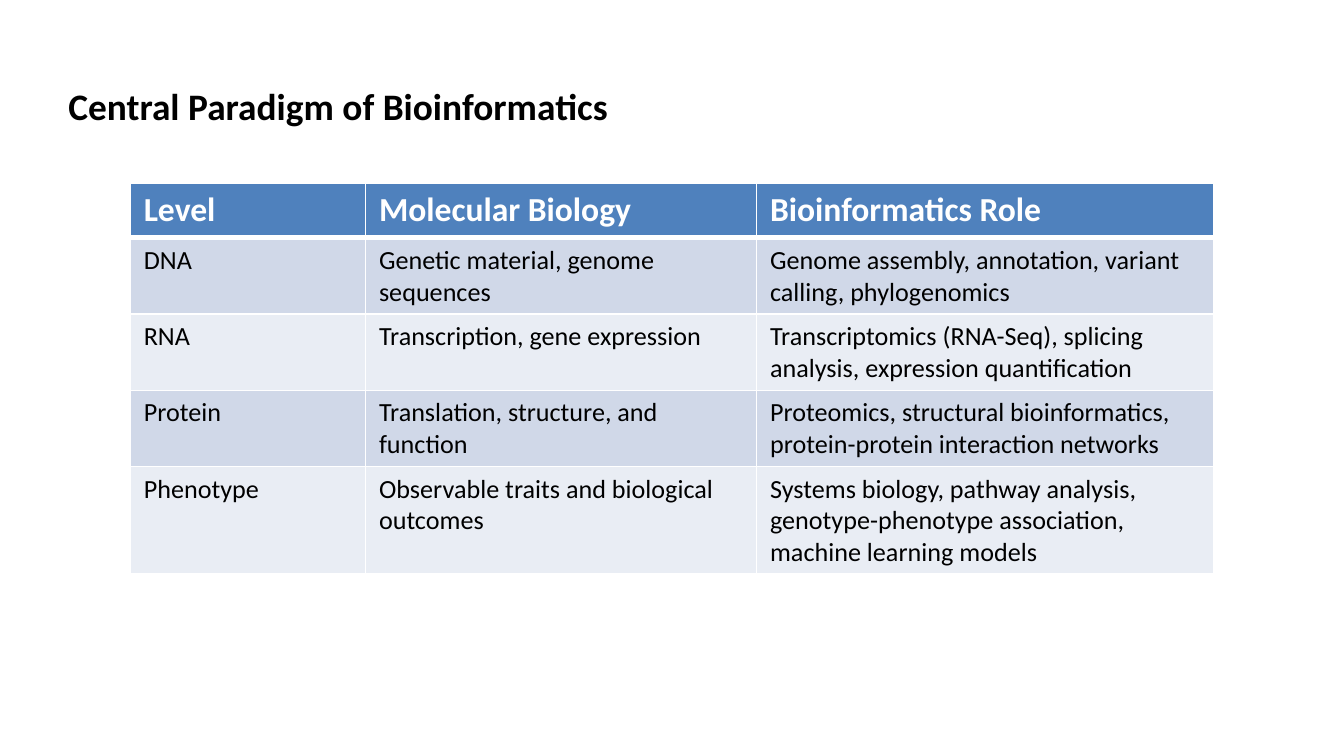
"""Build the slide on the central paradigm of bioinformatics."""
from dataclasses import dataclass

from lxml import etree
from pptx import Presentation
from pptx import util as u
from pptx.dml.color import RGBColor
from pptx.enum import text
from pptx.oxml import ns

TITLE = "Central Paradigm of Bioinformatics"
LEVELS = [
    ("Level", "Molecular Biology", "Bioinformatics Role"),
    ("DNA", "Genetic material, genome sequences",
     "Genome assembly, annotation, variant calling, phylogenomics"),
    ("RNA", "Transcription, gene expression",
     "Transcriptomics (RNA-Seq), splicing analysis, expression quantification"),
    ("Protein", "Translation, structure, and function",
     "Proteomics, structural bioinformatics, protein-protein interaction networks"),
    ("Phenotype", "Observable traits and biological outcomes",
     "Systems biology, pathway analysis, genotype-phenotype association, "
     "machine learning models"),
]
SLIDE_WIDTH = 10
SLIDE = (SLIDE_WIDTH, SLIDE_WIDTH * 9 / 16)
TITLE_AT = (0.41, 0.57, 4.92, 0.74)
TABLE_AT = (0.97, 1.36)
COLUMNS = (1.75, 2.91, 3.4)
ROW_HEIGHT = 0.41


@dataclass(frozen=True)
class Theme:
    font: str = "Calibri"
    ink: str = "000000"
    paper: str = "FFFFFF"
    header: str = "4F81BD"
    bands: tuple = ("D0D8E8", "E9EDF4")
    title_size: int = 20
    header_size: int = 18
    body_size: int = 14
    rule: int = 1
    header_rule: int = 3


THEME = Theme()


def add_span(para, words, size, color, bold):
    span = para.add_run()
    span.text = words
    span.font.name = THEME.font
    span.font.size = u.Pt(size)
    span.font.bold = bold
    span.font.color.rgb = RGBColor.from_string(color)


def set_borders(cell, top, bottom):
    properties = cell._tc.get_or_add_tcPr()
    widths = {"L": THEME.rule, "R": THEME.rule, "T": top, "B": bottom}
    for index, (side, width) in enumerate(widths.items()):
        line = etree.Element(ns.qn(f"a:ln{side}"), w=str(u.Pt(width)))
        fill = etree.SubElement(line, ns.qn("a:solidFill"))
        etree.SubElement(fill, ns.qn("a:srgbClr"), val=THEME.paper)
        properties.insert(index, line)


def add_title(page):
    box = page.shapes.add_textbox(*map(u.Inches, TITLE_AT))
    box.text_frame.word_wrap = True
    add_span(box.text_frame.paragraphs[0], TITLE, THEME.title_size, THEME.ink, True)


def add_levels(page):
    size = (sum(COLUMNS), ROW_HEIGHT * len(LEVELS))
    table = page.shapes.add_table(
        len(LEVELS), len(COLUMNS), *map(u.Inches, TABLE_AT + size)).table
    for column, width in zip(table.columns, COLUMNS):
        column.width = u.Inches(width)
    for row, entries in enumerate(LEVELS):
        is_header = row == 0
        fill = THEME.header if is_header else THEME.bands[(row - 1) % 2]
        color = THEME.paper if is_header else THEME.ink
        type_size = THEME.header_size if is_header else THEME.body_size
        top = THEME.header_rule if row == 1 else THEME.rule
        bottom = THEME.header_rule if is_header else THEME.rule
        for column, words in enumerate(entries):
            cell = table.cell(row, column)
            cell.fill.solid()
            cell.fill.fore_color.rgb = RGBColor.from_string(fill)
            cell.vertical_anchor = (
                text.MSO_ANCHOR.MIDDLE if is_header else text.MSO_ANCHOR.TOP)
            set_borders(cell, top, bottom)
            add_span(cell.text_frame.paragraphs[0], words, type_size, color, is_header)


def main():
    deck = Presentation()
    deck.slide_width, deck.slide_height = map(u.Inches, SLIDE)
    page = deck.slides.add_slide(deck.slide_layouts[6])
    add_title(page)
    add_levels(page)
    deck.save("out.pptx")


if __name__ == "__main__":
    main()
